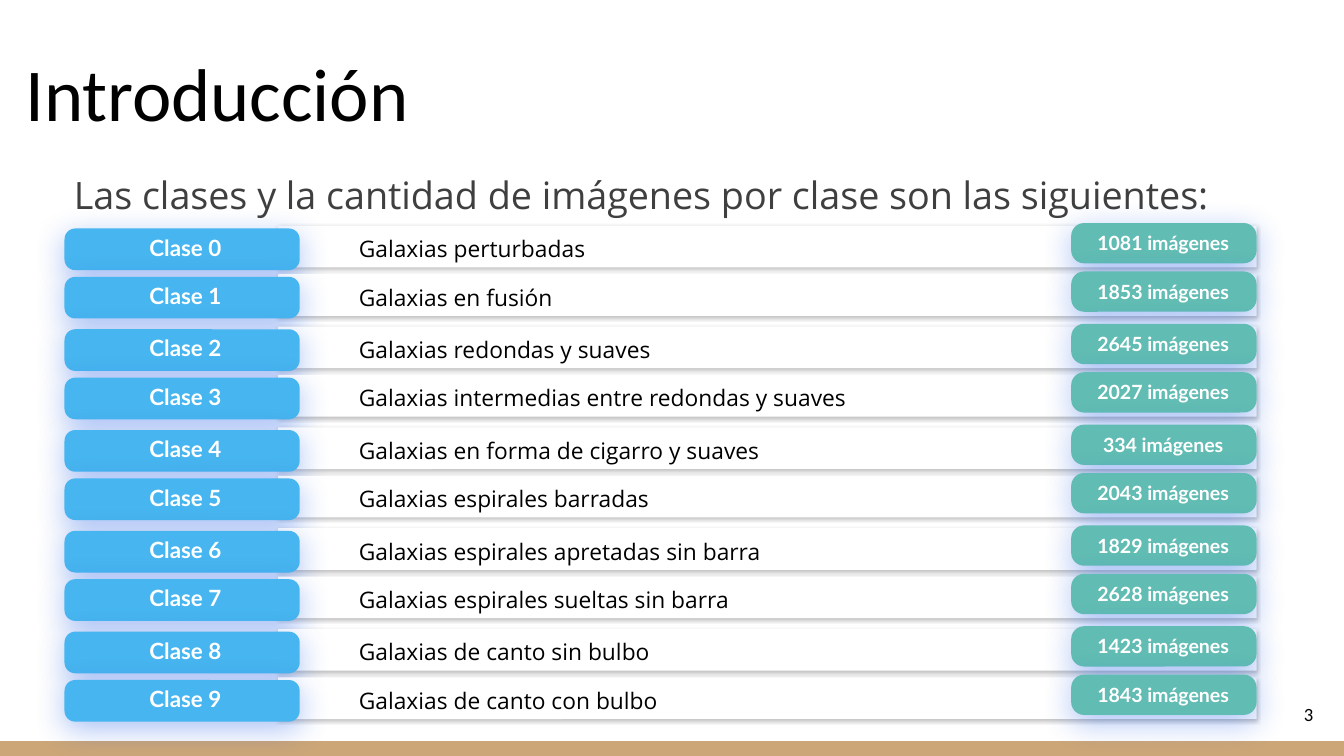
from dataclasses import dataclass

from lxml.etree import SubElement
from pptx import Presentation
from pptx.dml.color import RGBColor
from pptx.enum.shapes import MSO_SHAPE as Shape
from pptx.enum.text import MSO_ANCHOR as Anchor, MSO_AUTO_SIZE as AutoSize, PP_ALIGN as Align
from pptx.oxml.ns import qn
from pptx.util import Inches, Pt

TITLE = "Introducción"
LEAD = "Las clases y la cantidad de imágenes por clase son las siguientes:"
PAGE = "3"
CLASSES = [
    ("Galaxias perturbadas", 1081),
    ("Galaxias en fusión", 1853),
    ("Galaxias redondas y suaves", 2645),
    ("Galaxias intermedias entre redondas y suaves", 2027),
    ("Galaxias en forma de cigarro y suaves", 334),
    ("Galaxias espirales barradas", 2043),
    ("Galaxias espirales apretadas sin barra", 1829),
    ("Galaxias espirales sueltas sin barra", 2628),
    ("Galaxias de canto sin bulbo", 1423),
    ("Galaxias de canto con bulbo", 1843),
]


@dataclass(frozen=True)
class Theme:
    black: str = "000000"
    gray: str = "3F3F3F"
    white: str = "FFFFFF"
    blue: str = "47B5EF"
    green: str = "61BCB3"
    sand: str = "CCA677"
    glow: str = "1758E8"
    head: str = "Calibri"
    body: str = "Open Sans"
    label: str = "Lato"
    title_size: float = 40
    lead_size: float = 20.2
    row_size: float = 12.2
    tab_size: float = 12
    badge_size: float = 10.5
    page_size: float = 10


T = Theme()
W = 10
H = W * 9 / 16
TOP, PAIR_PITCH, ROW_PITCH = 1.68, 0.75, 0.36  # rows sit in pairs
BAR_X, BAR_W, BAR_H = 2.07, 7.28, 0.31
TAB_X, TAB_W, TAB_DY = 0.48, 1.75, 0.02
BADGE_W, BADGE_H, BADGE_DY = 1.38, 0.3, -0.02
BADGE_X = BAR_X + BAR_W - BADGE_W  # badges end flush with the bars
FOOT_H = 0.11
BAR_SHADOW = dict(color=T.black, alpha=23, blur=2, dist=1)
GLOW_SHADOW = dict(color=T.glow, alpha=37, blur=17, dist=4)


def row_top(i):
    return TOP + i // 2 * PAIR_PITCH + i % 2 * ROW_PITCH


def box(x, y, w, h):
    return [Inches(v) for v in (x, y, w, h)]


def write(sp, text, size, color, font, bold=False, align=Align.LEFT,
          anchor=Anchor.TOP, inset=(0, 0), spacing=None, after=None):
    tf = sp.text_frame
    tf.word_wrap = True
    tf.auto_size = AutoSize.NONE
    tf.vertical_anchor = anchor
    tf.margin_left = tf.margin_right = Inches(inset[0])
    tf.margin_top = tf.margin_bottom = Inches(inset[1])
    p = tf.paragraphs[0]
    p.alignment = align
    if spacing:
        p.line_spacing = spacing
    if after:
        p.space_after = Pt(after)
    r = p.add_run()
    r.text = text
    f = r.font
    f.size, f.name, f.bold = Pt(size), font, bold
    f.color.rgb = RGBColor.from_string(color)
    return p


def add_text(s, at, text, **fmt):
    return write(s.shapes.add_textbox(*box(*at)), text, **fmt)


def add_block(s, at, fill, radius=None, shadow=None):
    kind = Shape.RECTANGLE if radius is None else Shape.ROUNDED_RECTANGLE
    sp = s.shapes.add_shape(kind, *box(*at))
    if radius is not None:
        sp.adjustments[0] = radius
    sp.fill.solid()
    sp.fill.fore_color.rgb = RGBColor.from_string(fill)
    sp.line.fill.background()
    sp.shadow.inherit = False
    if shadow:
        cast_shadow(sp, **shadow)
    return sp


def cast_shadow(sp, color, alpha, blur, dist):
    """Add a shadow straight below; blur and dist in points, alpha in percent."""
    effects = sp._element.spPr.find(qn("a:effectLst"))
    shadow = SubElement(effects, qn("a:outerShdw"), blurRad=str(Pt(blur)),
                        dist=str(Pt(dist)), dir="5400000", algn="t", rotWithShape="0")
    rgb = SubElement(shadow, qn("a:srgbClr"), val=color)
    SubElement(rgb, qn("a:alpha"), val=str(alpha * 1000))


def add_class_row(s, i, name):
    y = row_top(i)
    bar = add_block(s, (BAR_X, y, BAR_W, BAR_H), T.white, 0.014, BAR_SHADOW)
    p = write(bar, name, size=T.row_size, color=T.black, font=T.body,
              anchor=Anchor.MIDDLE, inset=(0.1, 0.05), spacing=1.15)
    pPr = p._p.get_or_add_pPr()
    pPr.set("marL", "0")
    pPr.set("indent", str(Inches(0.5)))
    add_block(s, (TAB_X, y + TAB_DY, TAB_W, BAR_H), T.blue, 0.259, GLOW_SHADOW)
    add_text(s, (TAB_X + 0.13, y + 0.06, 1.54, 0.2), f"Clase {i}", size=T.tab_size,
             color=T.white, font=T.label, bold=True, align=Align.CENTER)


def add_badge(s, i, count):
    y = row_top(i) + BADGE_DY
    add_block(s, (BADGE_X, y, BADGE_W, BADGE_H), T.green, 0.319, GLOW_SHADOW)
    add_text(s, (BADGE_X + 0.13, y + 0.06, 1.11, 0.18), f"{count} imágenes",
             size=T.badge_size, color=T.white, font=T.label, bold=True, align=Align.CENTER)


def main():
    prs = Presentation()
    prs.slide_width, prs.slide_height = Inches(W), Inches(H)
    s = prs.slides.add_slide(prs.slide_layouts[5])

    add_block(s, (0, H - FOOT_H, W, FOOT_H), T.sand)
    title = s.shapes.title
    title.left, title.top, title.width, title.height = box(0.07, 0.24, 3.09, 0.88)
    write(title, TITLE, size=T.title_size, color=T.black, font=T.head,
          align=Align.CENTER, anchor=Anchor.MIDDLE, inset=(0.1, 0.1))
    add_text(s, (9.27, 5.1, 0.6, 0.43), PAGE, size=T.page_size, color=T.black,
             font=T.head, align=Align.RIGHT, anchor=Anchor.MIDDLE, inset=(0.1, 0.1))

    for i, (name, _) in enumerate(CLASSES):
        add_class_row(s, i, name)
    add_text(s, (0.55, 1.23, 9.06, 0.34), LEAD, size=T.lead_size, color=T.gray,
             font=T.body, spacing=1.15, after=12)
    for i, (_, count) in enumerate(CLASSES):
        add_badge(s, i, count)

    prs.save("out.pptx")


if __name__ == "__main__":
    main()
